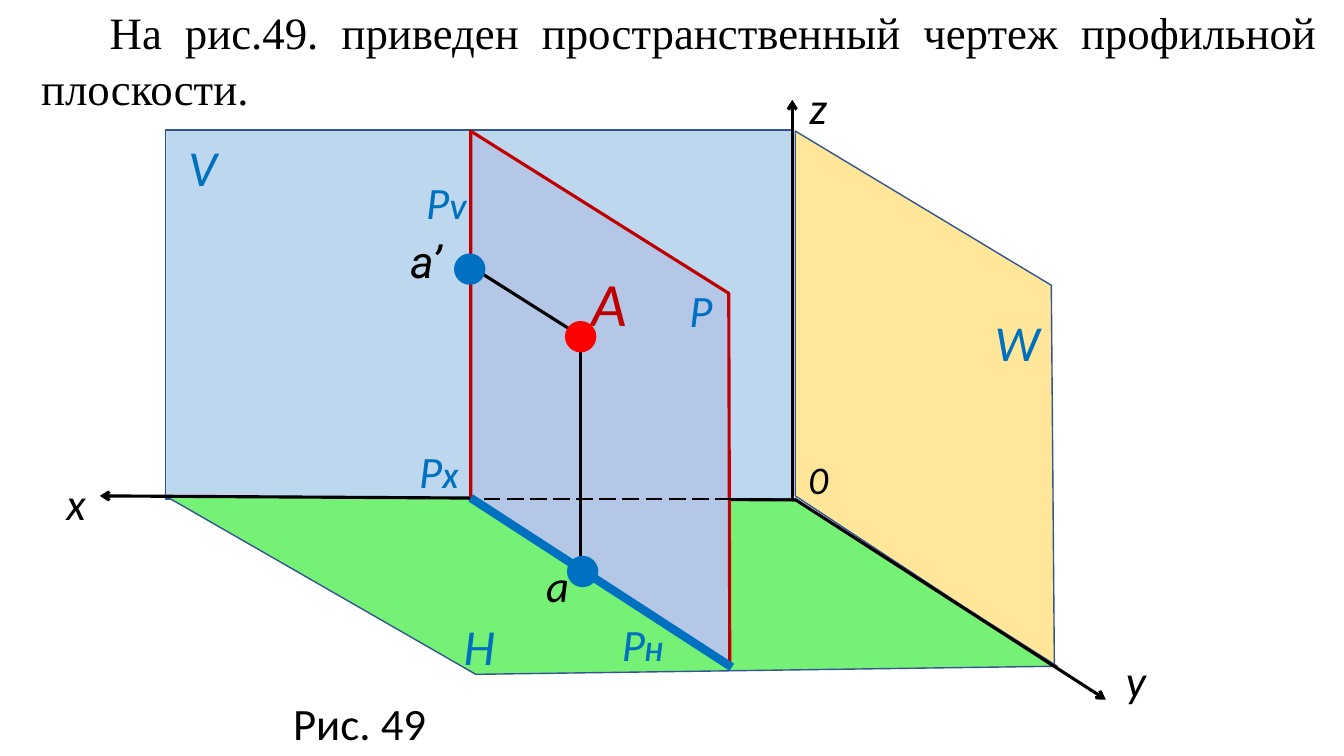
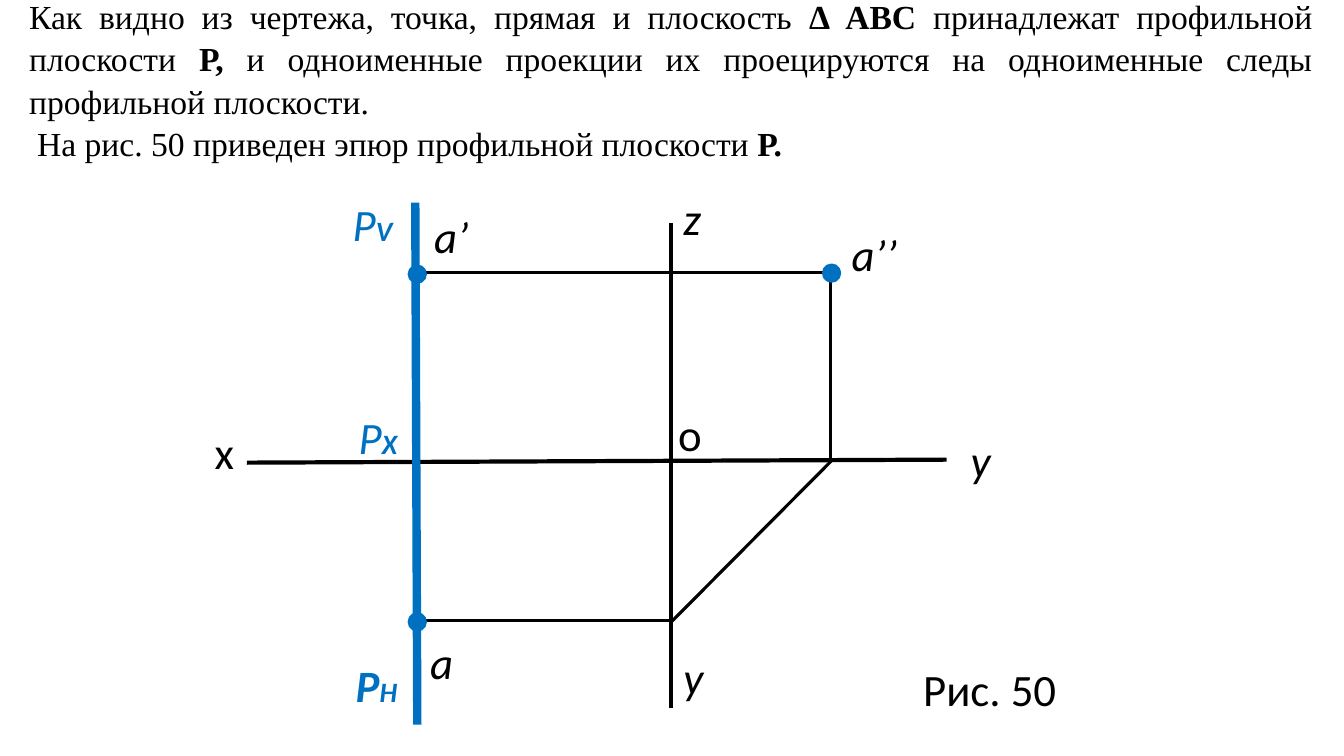
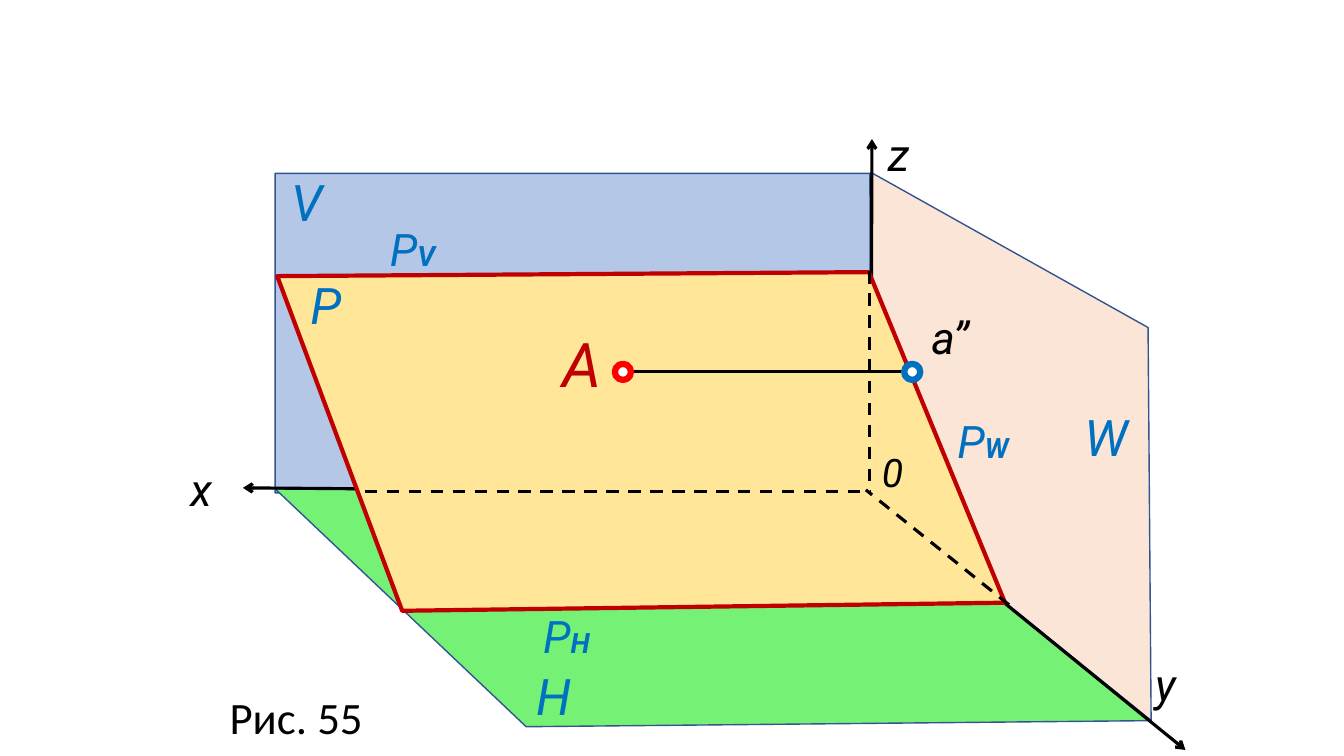
from lxml import etree
from pptx import Presentation
from pptx.dml.color import RGBColor
from pptx.enum.dml import MSO_LINE
from pptx.enum.shapes import MSO_CONNECTOR, MSO_SHAPE
from pptx.enum.text import PP_ALIGN
from pptx.oxml.ns import qn
from pptx.util import Inches, Pt

STRAIGHT = MSO_CONNECTOR.STRAIGHT
RECTANGLE, OVAL = MSO_SHAPE.RECTANGLE, MSO_SHAPE.OVAL
JUSTIFY = PP_ALIGN.JUSTIFY
DASHES = {"dash": MSO_LINE.DASH, "long dash": MSO_LINE.LONG_DASH}

# Shared grid and palette: one cell is a tenth of an inch
CELL = Inches(0.1)
COLUMNS, ROWS = 133.33, 75
BLACK, BLUE, CRIMSON, RED, WHITE = "000000", "0070C0", "C00000", "FF0000", "FFFFFF"
EDGE, SKY, LILAC, GREEN = "325491", "BDD7EE", "B4C7E7", "75F175"
SAND, PEACH = "FFE699", "FBE5D6"

# Label styles: size, colour, bold, italic, font (None is the figure's own)
LABELS = {
    "axis": (32, BLACK, False, True, None),
    "primed": (32, BLACK, False, True, "Roboto"),
    "upright": (32, BLACK, False, False, "Calibri"),
    "origin": (28, BLACK, False, True, None),
    "plane name": (36, BLUE, False, True, None),
    "trace": (32, BLUE, False, True, None),
    "bold trace": (32, BLUE, True, True, None),
    "point": (44, CRIMSON, False, True, None),
}
INDEX_SIZE = 20
PROSE_FONT, PROSE_SPACING = "Times New Roman", 1.05


def paint(fill, colour):
    fill.solid()
    fill.fore_color.rgb = RGBColor.from_string(colour)


def add_text(paragraph, text, size, colour, bold, italic, font):
    run = paragraph.add_run()
    run.text = text
    run.font.size, run.font.name = Pt(size), font
    run.font.bold, run.font.italic = bold, italic
    paint(run.font.fill, colour)


# Parts of each figure, from back to front:
# prose: left, top, width, height, size, paragraphs (indent, pieces of text and bold)
# plane: corners, fill, outline, weight
# wall: left, top, width, height, fill
# line: start, end, colour, weight, ending or dash
# dot: left, top, diameter, fill, outline, weight
# label styles: left, top, width, text
spatial_drawing = [
    ("prose", 3.1, -0.3, 128.6, 11.8, 32, [
        (6.8, [("На рис.49. приведен пространственный чертеж профильной плоскости.", False)]),
    ]),
    ("plane", [(78.9, 13), (104.3, 28.3), (104.6, 66.1), (78.9, 49.2)], SAND, EDGE, 1),
    ("wall", 16.4, 12.9, 62.3, 36.6, SKY),
    ("plane", [(16.4, 49.2), (78.9, 49.6), (104.9, 66.1), (47.2, 66.9)], GREEN, EDGE, 1),
    ("line", (9.9, 49.2), (78.9, 49.6), BLACK, 2.25, "arrow"),
    ("origin", 79.2, 44.7, 8.9, "0"),
    ("axis", 5.6, 46.7, 6.1, "x"),
    ("axis", 110.7, 64.3, 4.1, "y"),
    ("axis", 79.3, 7.4, 3.8, "z"),
    ("line", (78.6, 9.9), (78.6, 49.7), BLACK, 2.25, "arrow"),
    ("line", (109.7, 69.4), (78.8, 49.5), BLACK, 2.25, "arrow"),
    ("upright", 28.1, 68.5, 16, "Рис. 49"),
    ("plane name", 17.7, 13, 8.9, "V"),
    ("plane name", 97.7, 30.4, 8.9, "W"),
    ("plane name", 45, 60.5, 8.9, "H"),
    ("plane", [(46.7, 13), (72.3, 29.1), (72.4, 66.1), (46.7, 49.2)], LILAC, CRIMSON, 2.25),
    ("trace", 67.4, 27.6, 6, "P"),
    ("trace", 60.7, 60.7, 8.9, "PH"),
    ("line", (72.6, 49.5), (46.4, 49.5), BLACK, 1.5, "long dash"),
    ("line", (57.6, 56.7), (57.6, 33.3), BLACK, 2.25, ""),
    ("point", 57.7, 25.8, 4.8, "A"),
    ("line", (46.7, 49.4), (72.6, 66.2), BLUE, 6, ""),
    ("trace", 41.3, 16.8, 8.9, "PV"),
    ("trace", 40.6, 43.5, 8.9, "PX"),
    ("dot", 56.4, 55.3, 2.8, BLUE, BLUE, 2.25),
    ("line", (57.7, 33.4), (46.8, 26.5), BLACK, 2.25, ""),
    ("axis", 53.2, 54.8, 6, "a"),
    ("primed", 39.7, 22.7, 6, "a’"),
    ("dot", 45.2, 25.3, 2.8, BLUE, BLUE, 2.25),
    ("dot", 56.2, 32, 2.8, RED, RED, 2.25),
]

profile_epure = [
    ("line", (41.4, 61.4), (41.4, 27.5), BLACK, 2.25, ""),
    ("line", (24.5, 45.9), (93.9, 45.6), BLACK, 3, ""),
    ("upright", 66.3, 39.9, 4.7, "o"),
    ("axis", 42.1, 20.2, 8.6, "a’"),
    ("axis", 41.7, 62.5, 8.3, "a"),
    ("line", (42, 61.6), (66.7, 61.6), BLACK, 2.25, ""),
    ("bold trace", 34.3, 64.8, 8.9, "PH"),
    ("upright", 90.6, 65.2, 16, "Рис. 50"),
    ("line", (66.6, 22.1), (66.6, 70.2), BLACK, 3, ""),
    ("upright", 20.3, 41.6, 4, "x"),
    ("axis", 66.8, 64, 4.1, "y"),
    ("axis", 66.8, 18.4, 3.8, "z"),
    ("line", (82.4, 45.6), (82.4, 27.4), BLACK, 2.25, ""),
    ("line", (41.9, 27), (82.9, 27), BLACK, 2.25, ""),
    ("line", (66.7, 61.6), (82.5, 45.7), BLACK, 2.25, ""),
    ("dot", 40.6, 60.9, 1.6, BLUE, BLUE, 2.25),
    ("axis", 83.5, 22, 8.6, "a’’"),
    ("dot", 81.7, 26.3, 1.6, BLUE, BLUE, 2.25),
    ("trace", 34, 19, 7, "PV"),
    ("trace", 34.6, 40.2, 7, "PX"),
    ("axis", 95.3, 42.4, 4.1, "y"),
    ("dot", 40.6, 26.4, 1.6, BLUE, BLUE, 2.25),
    ("line", (41.2, 20.1), (41.4, 71.9), BLUE, 6, ""),
    ("prose", 1.9, -1.1, 129.3, 21.2, 24, [
        (0, [("Как видно из чертежа, точка, прямая и плоскость ", False), ("Δ ABC", True),
             (" принадлежат профильной плоскости ", False), ("Р,", True),
             (" и одноименные проекции их проецируются на одноименные следы "
              "профильной плоскости.", False)]),
        (0.8, [("На рис. 50 приведен эпюр профильной плоскости ", False), ("Р.", True)]),
    ]),
]

inclined_plane = [
    ("plane", [(86.4, 17.1), (113.9, 32.5), (114.2, 71.5), (86.2, 48.8)], PEACH, EDGE, 1),
    ("plane", [(27.3, 17.2), (86.3, 17.2), (86.4, 48.8), (27.3, 48.9)], LILAC, EDGE, 1),
    ("plane", [(27.3, 48.5), (86.1, 48.9), (114.2, 71.5), (52.2, 72.1)], GREEN, EDGE, 1),
    ("axis", 17.9, 45.3, 4.1, "x"),
    ("axis", 113.6, 64.7, 4.1, "y"),
    ("line", (117.6, 74.4), (86.2, 48.9), BLACK, 2.25, "arrow"),
    ("plane name", 27.9, 16.5, 8.9, "V"),
    ("plane name", 52.2, 65.5, 8.9, "H"),
    ("line", (24.1, 48.4), (86.3, 48.9), BLACK, 2.25, "arrow"),
    ("line", (86.5, 13.8), (86.4, 48.9), BLACK, 2.25, "arrow"),
    ("plane", [(86.2, 27), (99.7, 59.8), (39.9, 60.6), (27.5, 27.4)], SAND, CRIMSON, 3),
    ("origin", 86.5, 44, 8.9, "0"),
    ("plane name", 29.8, 26.7, 8.9, "P"),
    ("line", (36.2, 48.8), (86.3, 48.8), BLACK, 2.25, "dash"),
    ("line", (100.1, 60), (85.9, 48.6), BLACK, 2.25, "dash"),
    ("line", (86.3, 26.9), (86.3, 48.3), BLACK, 2.25, "dash"),
    ("trace", 52.9, 59.9, 8.9, "PH"),
    ("line", (62.6, 36.9), (91, 36.9), BLACK, 2.25, ""),
    ("point", 54.8, 31.8, 4.8, "A"),
    ("trace", 37.7, 21.5, 8.9, "PV"),
    ("trace", 94, 40.5, 8.9, "PW"),
    ("axis", 91.4, 30.2, 8.1, "a’’"),
    ("dot", 89.7, 36.1, 1.6, WHITE, BLUE, 4.5),
    ("dot", 61, 36.1, 1.6, WHITE, RED, 4.5),
    ("upright", 21.8, 67.9, 16, "Рис. 55"),
    ("axis", 87.1, 12.1, 4.1, "z"),
    ("plane name", 106.6, 39.8, 8.9, "W"),
]

deck = Presentation()
deck.slide_width, deck.slide_height = int(COLUMNS * CELL), ROWS * CELL
blank = deck.slide_layouts[6]

figures = [(spatial_drawing, "Calibri"), (profile_epure, "Calibri"), (inclined_plane, "Roboto")]
for parts, figure_font in figures:
    shapes = deck.slides.add_slide(blank).shapes
    for kind, *values in parts:
        # Axes, traces and projection lines
        if kind == "line":
            start, end, colour, weight, ending = values
            line = shapes.add_connector(STRAIGHT, *[int(v * CELL) for v in start + end])
            paint(line.line.fill, colour)
            line.line.width = Pt(weight)
            if ending in DASHES:
                line.line.dash_style = DASHES[ending]
            properties = line._element.spPr
            if ending == "arrow":
                etree.SubElement(properties.find(qn("a:ln")), qn("a:headEnd"), type="arrow")
            etree.SubElement(properties, qn("a:effectLst"))

        # Planes, walls and points
        elif kind in ("plane", "wall", "dot"):
            if kind == "plane":
                corners, fill, outline, weight = values
                points = [(int(x * CELL), int(y * CELL)) for x, y in corners]
                builder = shapes.build_freeform(*points[0])
                builder.add_line_segments(points[1:], close=True)
                area = builder.convert_to_shape()
            elif kind == "wall":
                *box, fill = values
                outline, weight = EDGE, 1
                area = shapes.add_shape(RECTANGLE, *[int(v * CELL) for v in box])
            else:
                left, top, diameter, fill, outline, weight = values
                box = (left, top, diameter, diameter)
                area = shapes.add_shape(OVAL, *[int(v * CELL) for v in box])
            area.shadow.inherit = False
            paint(area.fill, fill)
            paint(area.line.fill, outline)
            area.line.width = Pt(weight)

        # Running text
        elif kind == "prose":
            *box, size, paragraphs = values
            frame = shapes.add_textbox(*[int(v * CELL) for v in box]).text_frame
            frame.word_wrap = True
            for number, (indent, pieces) in enumerate(paragraphs):
                paragraph = frame.add_paragraph() if number else frame.paragraphs[0]
                paragraph.alignment = JUSTIFY
                paragraph.line_spacing = PROSE_SPACING
                paragraph._p.get_or_add_pPr().set("indent", str(int(indent * CELL)))
                for text, bold in pieces:
                    add_text(paragraph, text, size, BLACK, bold, False, PROSE_FONT)

        # Letters and captions; a trace has its plane as a small index
        else:
            left, top, width, text = values
            size, colour, bold, italic, font = LABELS[kind]
            font = font or figure_font
            height = size / 6 + 1
            box = (left, top, width, height)
            frame = shapes.add_textbox(*[int(v * CELL) for v in box]).text_frame
            frame.word_wrap = True
            paragraph = frame.paragraphs[0]
            is_trace = kind.endswith("trace")
            name = text[0] if is_trace else text
            add_text(paragraph, name, size, colour, bold, italic, font)
            if is_trace and text[1:]:
                add_text(paragraph, text[1:], INDEX_SIZE, colour, True, italic, font)

deck.save("out.pptx")
